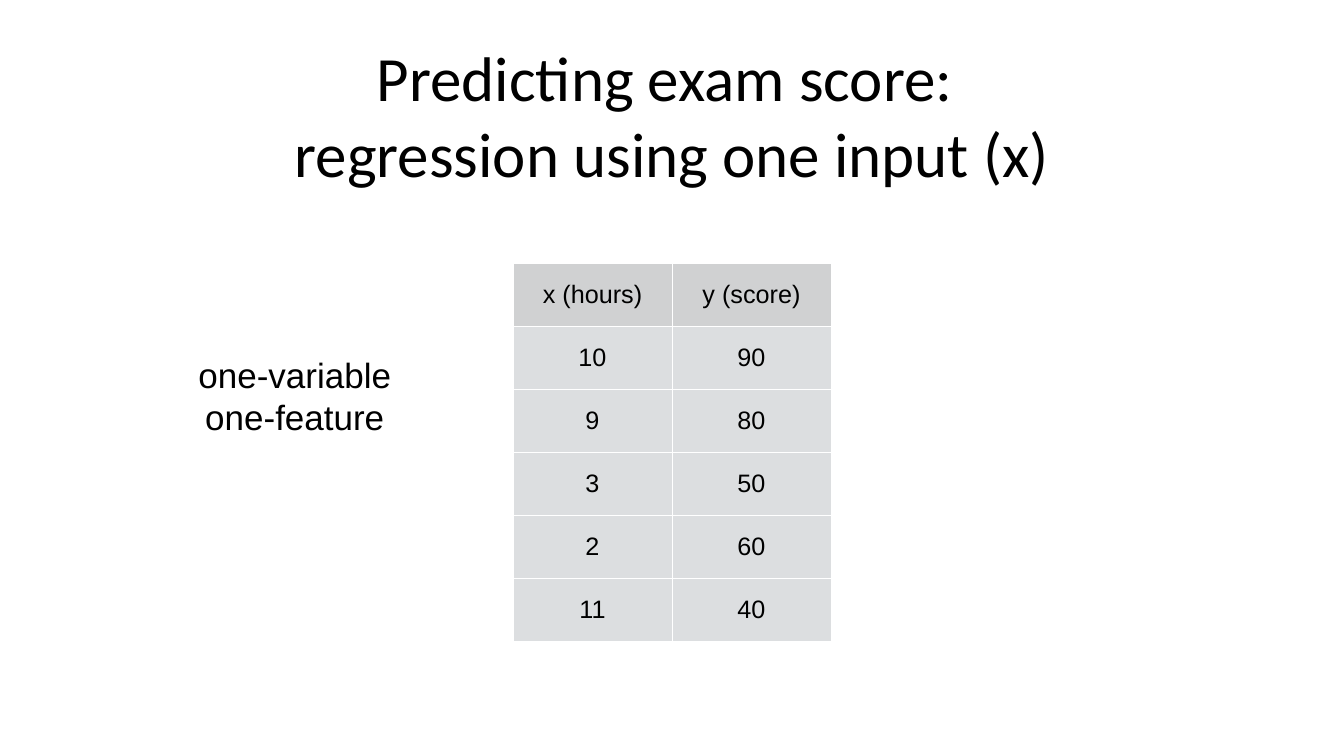
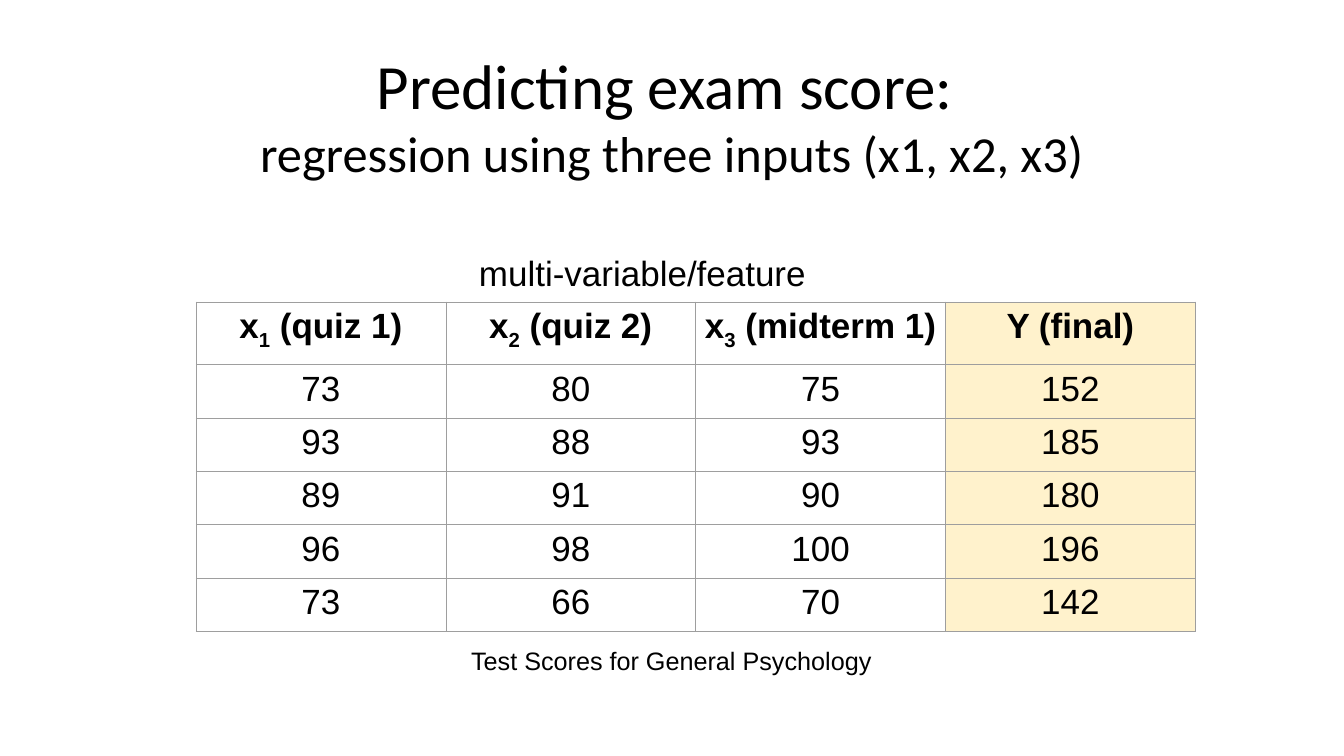
"""Build two slides on predicting an exam score by regression."""
from dataclasses import dataclass

from lxml.etree import SubElement
from pptx import Presentation
from pptx.dml.color import RGBColor
from pptx.enum.text import MSO_ANCHOR, MSO_AUTO_SIZE, PP_ALIGN
from pptx.oxml.ns import qn
from pptx.util import Inches, Pt


@dataclass(frozen=True)
class Theme:
    title_font: str = "Calibri"
    body_font: str = "Arial"
    title_size: int = 90
    subtitle_size: int = 72
    label_size: int = 50
    small_size: int = 36
    text: str = "000000"
    head_fill: str = "D0D1D2"
    cell_fill: str = "DCDEE0"
    target_fill: str = "FFF2CC"
    light_line: str = "FFFFFF"
    dark_line: str = "9E9E9E"


def apply(target, values):
    for name, value in values.items():
        setattr(target, name, value)


class Deck:
    def __init__(self, theme):
        self.theme = theme
        self.prs = Presentation()
        apply(self.prs, {"slide_width": Inches(26.67), "slide_height": Inches(15)})
        self.slide = None

    def add_slide(self):
        self.slide = self.prs.slides.add_slide(self.prs.slide_layouts[5])

    def place(self, sp, box):
        names = ("left", "top", "width", "height")
        apply(sp, dict(zip(names, map(Inches, box))))

    def frame(self, target, margin, anchor):
        sides = ("left", "right", "top", "bottom")
        apply(target, {f"margin_{side}": Inches(margin) for side in sides})
        target.vertical_anchor = anchor

    def run(self, p, text, size, font, bold=False, baseline=None):
        r = p.add_run()
        r.text = text
        apply(r.font, {"name": font, "size": Pt(size), "bold": bold})
        r.font.color.rgb = RGBColor.from_string(self.theme.text)
        if baseline:
            r.font._element.set("baseline", str(baseline))

    def fill_text(self, tf, lines, font, align, margin):
        apply(tf, {"word_wrap": True, "auto_size": MSO_AUTO_SIZE.NONE})
        self.frame(tf, margin, MSO_ANCHOR.MIDDLE)
        for i, (text, size) in enumerate(lines):
            p = tf.add_paragraph() if i else tf.paragraphs[0]
            p.alignment = align
            self.run(p, text, size, font)

    def title(self, subtitle, size):
        sp = self.slide.shapes.title
        self.place(sp, (-0.02, 0.39, 26.71, 3.75))
        lines = [("Predicting exam score: ", self.theme.title_size), (subtitle, size)]
        self.fill_text(sp.text_frame, lines, self.theme.title_font, PP_ALIGN.CENTER, 0.08)

    def label(self, box, lines, size, align=PP_ALIGN.CENTER, margin=0.08):
        sp = self.slide.shapes.add_textbox(*map(Inches, box))
        lines = [(line, size) for line in lines]
        self.fill_text(sp.text_frame, lines, self.theme.body_font, align, margin)

    def border(self, cell, color, width):
        pr = cell._tc.get_or_add_tcPr()
        for i, side in enumerate(("lnL", "lnR", "lnT", "lnB")):
            ln = SubElement(pr, qn(f"a:{side}"), w=str(Pt(width)))
            SubElement(SubElement(ln, qn("a:solidFill")), qn("a:srgbClr"), val=color)
            pr.insert(i, ln)

    def table(self, box, rows, heights, size, line, fill_for, margin, anchor, bold_head=False):
        shape = self.slide.shapes.add_table(len(rows), len(rows[0]), *map(Inches, box))
        tbl = shape.table
        apply(tbl, {"first_row": False, "horz_banding": False})
        for row, height in zip(tbl.rows, heights):
            row.height = Inches(height)
        for i, values in enumerate(rows):
            for j, value in enumerate(values):
                cell = tbl.cell(i, j)
                self.frame(cell, margin, anchor)
                p = cell.text_frame.paragraphs[0]
                p.alignment = PP_ALIGN.CENTER
                parts = value if isinstance(value, tuple) else (str(value),)
                for k, part in enumerate(parts):
                    baseline = -25000 if k == 1 else None
                    self.run(p, part, size, self.theme.body_font, bold_head and i == 0, baseline)
                color = fill_for(i, j)
                if color:
                    cell.fill.solid()
                    cell.fill.fore_color.rgb = RGBColor.from_string(color)
                else:
                    cell.fill.background()
                self.border(cell, *line)


def one_input(deck):
    t = deck.theme
    deck.add_slide()
    deck.title("regression using one input (x)", t.title_size)
    rows = [("x (hours)", "y (score)"), (10, 90), (9, 80), (3, 50), (2, 60), (11, 40)]
    deck.table((10.18, 5.23, 6.31, 7.51), rows, [1.25] * 6, t.small_size, (t.light_line, 1),
               lambda i, j: t.cell_fill if i else t.head_fill, 0.06, MSO_ANCHOR.MIDDLE)
    deck.label((3.74, 6.94, 4.22, 1.82), ["one-variable", "one-feature"], t.label_size)


def three_inputs(deck):
    t = deck.theme
    deck.add_slide()
    deck.title("regression using three inputs (x1, x2, x3)", t.subtitle_size)
    deck.label((8.25, 4.91, 9, 0.99), ["multi-variable/feature"], t.label_size)
    inputs = ("quiz 1", "quiz 2", "midterm 1")
    head = [("x", str(n), f" ({name})") for n, name in enumerate(inputs, 1)]
    rows = [head + ["Y (final)"], (73, 80, 75, 152), (93, 88, 93, 185),
            (89, 91, 90, 180), (96, 98, 100, 196), (73, 66, 70, 142)]
    deck.table((3.89, 5.99, 19.83, 6.56), rows, [1.24] + [1.06] * 5, t.label_size,
               (t.dark_line, 0.75), lambda i, j: t.target_fill if j == 3 else None,
               0.1, MSO_ANCHOR.TOP, bold_head=True)
    deck.label((9.25, 12.1, 9.82, 1.99), ["Test Scores for General Psychology"],
               t.small_size, PP_ALIGN.LEFT, 0.1)


def main():
    deck = Deck(Theme())
    one_input(deck)
    three_inputs(deck)
    deck.prs.save("out.pptx")


if __name__ == "__main__":
    main()
